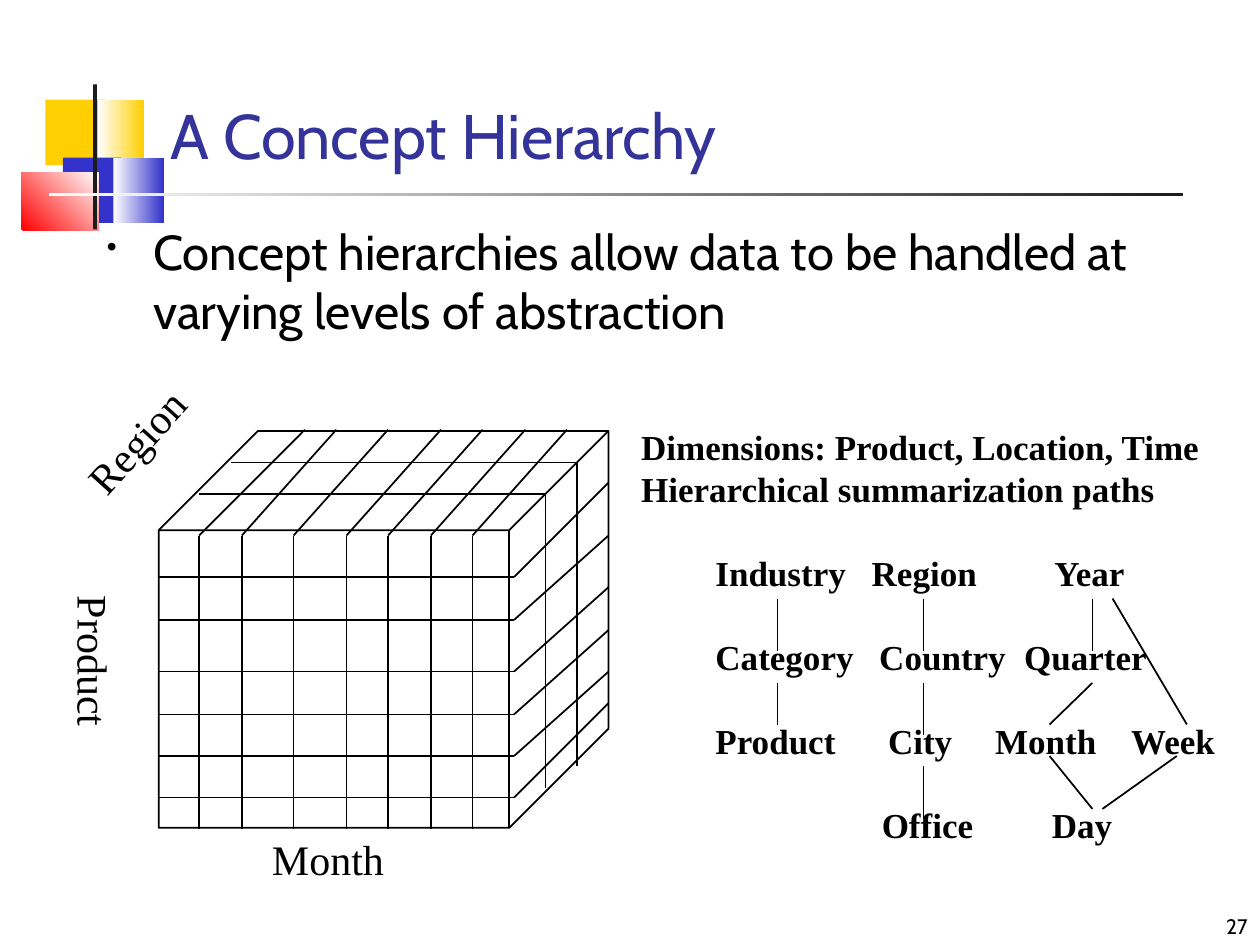
from lxml.etree import SubElement
from pptx import Presentation
from pptx.dml.color import RGBColor
from pptx.enum.shapes import MSO_CONNECTOR, MSO_SHAPE
from pptx.enum.text import MSO_ANCHOR, MSO_AUTO_SIZE, PP_ALIGN
from pptx.oxml.ns import qn
from pptx.util import Inches, Pt

BLACK = RGBColor(0x00, 0x00, 0x00)
WHITE = RGBColor(0xFF, 0xFF, 0xFF)
YELLOW = RGBColor(0xFF, 0xCF, 0x01)
BLUE = RGBColor(0x33, 0x33, 0xCC)
RED = RGBColor(0xFF, 0x00, 0x00)
CHARCOAL = RGBColor(0x1C, 0x1C, 0x1C)
TITLE_BLUE = RGBColor(0x33, 0x33, 0x99)
SANS = "Cabin"
SERIF = "Times New Roman"

presentation = Presentation()
presentation.slide_width = Inches(10)
presentation.slide_height = Inches(7.5)
slide = presentation.slides.add_slide(presentation.slide_layouts[5])
shapes = slide.shapes


def add_line(x1, y1, x2, y2):
    line = shapes.add_connector(
        MSO_CONNECTOR.STRAIGHT, Inches(x1), Inches(y1), Inches(x2), Inches(y2)
    )
    line.line.color.rgb = BLACK
    line.line.width = Pt(1)
    SubElement(line._element.spPr, qn("a:effectLst"))


def add_text(box, lines, size, font, bold=False, wrap=True):
    """Place a text box at (left, top, width, height) with one paragraph per line."""
    text_box = shapes.add_textbox(*[Inches(length) for length in box])
    text_box.text_frame.word_wrap = wrap
    for index, text in enumerate(lines):
        if index:
            paragraph = text_box.text_frame.add_paragraph()
        else:
            paragraph = text_box.text_frame.paragraphs[0]
        run = paragraph.add_run()
        run.text = text
        run.font.size = Pt(size)
        run.font.name = font
        run.font.bold = bold
        run.font.color.rgb = BLACK
    return text_box


# Corner decoration: left, top, width, height, colours, gradient angle
decoration = [
    (0.36, 0.79, 0.48, 0.52, [YELLOW], 0),
    (0.78, 0.79, 0.36, 0.52, [WHITE, YELLOW], 0),
    (0.5, 1.25, 0.46, 0.52, [BLUE], 0),
    (0.9, 1.25, 0.4, 0.52, [WHITE, BLUE], 0),
    (0.17, 1.37, 0.61, 0.46, [RED, WHITE], 45),
    (0.74, 0.67, 0.03, 1.15, [CHARCOAL], 0),
    (0.39, 1.53, 9, 0.03, [WHITE, CHARCOAL], 0),
]
for *box, colors, angle in decoration:
    block = shapes.add_shape(MSO_SHAPE.RECTANGLE, *[Inches(length) for length in box])
    block.shadow.inherit = False
    block.line.fill.background()
    if len(colors) == 1:
        block.fill.solid()
        block.fill.fore_color.rgb = colors[0]
    else:
        block.fill.gradient()
        block.fill.gradient_angle = angle
        for stop, color in zip(block.fill.gradient_stops, colors):
            stop.color.rgb = color

# Title
title = shapes.title
title.left, title.top = Inches(1.25), Inches(0.72)
title.width, title.height = Inches(8.52), Inches(0.7)
title.text_frame.vertical_anchor = MSO_ANCHOR.BOTTOM
title.text_frame.auto_size = MSO_AUTO_SIZE.NONE
paragraph = title.text_frame.paragraphs[0]
paragraph.alignment = PP_ALIGN.LEFT
run = paragraph.add_run()
run.text = "A Concept Hierarchy"
run.font.size = Pt(36)
run.font.name = SANS
run.font.color.rgb = TITLE_BLUE

# Bullet
statement = "Concept hierarchies allow data to be handled at varying levels of abstraction"
body = add_text((0.75, 1.71, 8.75, 5), [statement], 28, SANS)
properties = body.text_frame.paragraphs[0]._p.get_or_add_pPr()
properties.set("marL", str(Inches(0.37)))
properties.set("indent", str(-Inches(0.37)))
SubElement(properties, qn("a:buSzPct"), val="60000")
SubElement(properties, qn("a:buChar"), char="•")

# Slide number
number = add_text((7.92, 7, 2.08, 0.5), ["27"], 12, SANS)
number.text_frame.vertical_anchor = MSO_ANCHOR.BOTTOM
number.text_frame.paragraphs[0].alignment = PP_ALIGN.RIGHT

# Data cube
cube = shapes.add_shape(
    MSO_SHAPE.CUBE, Inches(1.26), Inches(3.42), Inches(3.57), Inches(3.15)
)
cube.adjustments[0] = 0.25
cube.shadow.inherit = False
cube.fill.background()
cube.line.color.rgb = BLACK
cube.line.width = Pt(1)

rows = [(4.58, 3.83), (4.92, 4.25), (5.33, 4.66), (5.67, 5), (6, 5.33), (6.33, 5.58)]
for front_y, back_y in rows:
    add_line(1.25, front_y, 4.08, front_y)
    add_line(4.08, front_y, 4.83, back_y)

columns = [(1.58, 2.42), (1.92, 2.67), (2.33, 3.08), (2.75, 3.5),
           (3.08, 3.83), (3.42, 4.17), (3.75, 4.5)]
for front_x, back_x in columns:
    add_line(front_x, 4.25, front_x, 6.58)
    add_line(front_x, 4.25, back_x, 3.41)

layers = [(1.83, 4.58, 3.67, 6.08), (1.58, 4.33, 3.92, 6.25)]
for left, right, top, bottom in layers:
    add_line(left, top, right, top)
    add_line(right, top, right, bottom)

# Cube axis labels
product_label = add_text((0.4, 4.63, 0.6, 1.14), ["Product"], 24, SERIF, wrap=False)
frame = product_label.text_frame
frame.margin_left = frame.margin_right = Inches(0.05)
frame.margin_top = frame.margin_bottom = Inches(0.1)
frame._txBody.bodyPr.set("vert", "eaVert")
region_label = add_text((0.5, 3.25, 1.16, 0.5), ["Region"], 24, SERIF)
region_label.rotation = 312
add_text((2.06, 6.57, 1.09, 0.5), ["Month"], 24, SERIF, wrap=False)

# Dimension heading
heading = ["Dimensions: Product, Location, Time", "Hierarchical summarization paths"]
add_text((4.99, 3.33, 4.8, 0.77), heading, 20, SERIF, bold=True)

# Hierarchy levels, each with its own tab stops
levels = [
    ("Industry\tRegion\tYear", [1.24, 2.69]),
    ("Category\tCountry\tQuarter", [1.3, 2.45]),
    ("Product\tCity\tMonth\tWeek", [1.37, 2.22, 3.3]),
    ("\tOffice\tDay", [1.32, 2.67]),
]
hierarchy = add_text(
    (5.58, 4.33, 4.2, 2.44), [text for text, stops in levels], 20, SERIF, bold=True
)
for index, (text, stops) in enumerate(levels):
    paragraph = hierarchy.text_frame.paragraphs[index]
    tab_list = SubElement(paragraph._p.get_or_add_pPr(), qn("a:tabLst"))
    for stop in stops:
        SubElement(tab_list, qn("a:tab"), pos=str(Inches(stop)), algn="l")
    if index:
        paragraph.space_before = Pt(24)

links = [
    (6.17, 4.75, 6.17, 5.17), (6.17, 5.42, 6.17, 5.75),
    (7.33, 4.75, 7.33, 5.17), (7.33, 5.42, 7.33, 5.83), (7.33, 6.08, 7.33, 6.5),
    (8.67, 4.75, 8.67, 5.17), (8.67, 5.42, 8.33, 5.75), (8.33, 6, 8.67, 6.42),
    (8.83, 4.75, 9.42, 5.75), (9.34, 6, 8.75, 6.42),
]
for link in links:
    add_line(*link)

presentation.save("out.pptx")
